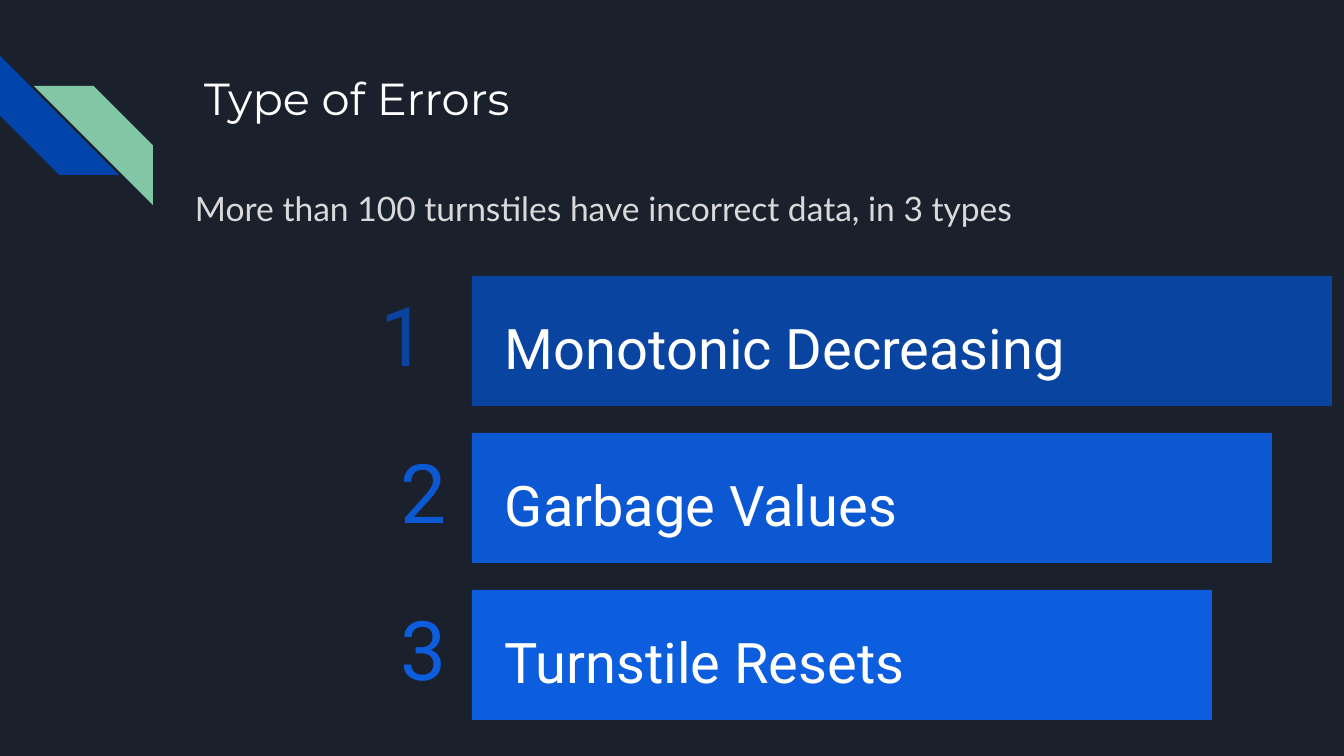
"""Build the "Type of Errors" slide with three numbered bars."""
from dataclasses import dataclass

from pptx import Presentation
from pptx.dml.color import RGBColor
from pptx.enum.shapes import MSO_SHAPE as Preset
from pptx.enum.text import MSO_ANCHOR as Anchor, PP_ALIGN as Align
from pptx.shapes.autoshape import Shape
from pptx.slide import Slide
from pptx.util import Emu, Pt

SLIDE_WIDTH, SLIDE_HEIGHT = 1344, 756
SCALE = 9144000 / SLIDE_WIDTH

COLORS = {
    "background": "1B212C",
    "stripe_blue": "0145AC",
    "stripe_green": "82C7A5",
    "white": "FFFFFF",
    "subtitle": "D9D9D9",
    "first": "0944A1",
    "second": "0C58D3",
    "third": "0D5DDF",
}

FIRST_TOP, PITCH = 276, 157
BAR_LEFT, BAR_HEIGHT = 472, 130
BAR_WIDTH, BAR_STEP = 860, 60


@dataclass(frozen=True)
class Box:
    left: int
    top: int
    width: int
    height: int

    def emu(self) -> tuple[Emu, ...]:
        return tuple(px(n) for n in (self.left, self.top, self.width, self.height))


@dataclass(frozen=True)
class ErrorType:
    number: str
    label: str
    color: str


ERROR_TYPES = (
    ErrorType("1 ", "Monotonic Decreasing", "first"),
    ErrorType("2", "Garbage Values", "second"),
    ErrorType("3", "Turnstile Resets", "third"),
)


def px(length: int) -> Emu:
    return Emu(round(length * SCALE))


def rgb(color: str) -> RGBColor:
    return RGBColor.from_string(COLORS[color])


def add_filled(slide: Slide, preset: Preset, box: Box, color: str) -> Shape:
    filled = slide.shapes.add_shape(preset, *box.emu())
    filled.shadow.inherit = False
    filled.fill.solid()
    filled.fill.fore_color.rgb = rgb(color)
    filled.line.fill.background()
    return filled


def write(holder: Shape, text: str, *, font: str, size: int, color: str,
          align: Align = Align.LEFT, anchor: Anchor = Anchor.TOP,
          spacing: float = 1.0, inset: int = 13) -> None:
    frame = holder.text_frame
    frame.word_wrap = True
    frame.vertical_anchor = anchor
    frame.margin_left = frame.margin_right = px(13)
    frame.margin_top = frame.margin_bottom = px(inset)
    paragraph = frame.paragraphs[0]
    paragraph.alignment = align
    paragraph.line_spacing = spacing
    run = paragraph.add_run()
    run.text = text
    run.font.name = font
    run.font.size = Pt(size)
    run.font.color.rgb = rgb(color)


def add_text(slide: Slide, box: Box, text: str, **style) -> None:
    write(slide.shapes.add_textbox(*box.emu()), text, **style)


def add_stripes(slide: Slide) -> None:
    blue = add_filled(slide, Preset.DIAGONAL_STRIPE, Box(0, 56, 119, 119), "stripe_blue")
    blue.rotation = 270
    green = add_filled(slide, Preset.DIAGONAL_STRIPE, Box(34, 86, 119, 119), "stripe_green")
    green._element.spPr.xfrm.set("flipH", "1")


def add_error_type(slide: Slide, index: int, error: ErrorType) -> None:
    top = FIRST_TOP + index * PITCH
    width = BAR_WIDTH - index * BAR_STEP
    add_text(slide, Box(129, top + 8, 331, 112), error.number,
             font="Roboto", size=44, color=error.color, align=Align.RIGHT,
             anchor=Anchor.MIDDLE, spacing=0.9, inset=7)
    add_filled(slide, Preset.RECTANGLE, Box(BAR_LEFT, top, width, BAR_HEIGHT), error.color)
    add_text(slide, Box(BAR_LEFT + 20, top + 15, width - 75, 102), error.label,
             font="Roboto", size=30, color="white",
             anchor=Anchor.MIDDLE, spacing=1.15, inset=7)


def main() -> None:
    deck = Presentation()
    deck.slide_width, deck.slide_height = px(SLIDE_WIDTH), px(SLIDE_HEIGHT)
    slide = deck.slides.add_slide(deck.slide_layouts[5])
    slide.background.fill.solid()
    slide.background.fill.fore_color.rgb = rgb("background")

    add_stripes(slide)
    title = slide.shapes.title
    title.left, title.top, title.width, title.height = Box(191, 58, 1035, 134).emu()
    write(title, "Type of Errors", font="Montserrat", size=24, color="white")
    for index, error in enumerate(ERROR_TYPES):
        add_error_type(slide, index, error)
    add_text(slide, Box(182, 175, 981, 102),
             "More than 100 turnstiles have incorrect data, in 3 types",
             font="Lato", size=18, color="subtitle")
    deck.save("out.pptx")


if __name__ == "__main__":
    main()
